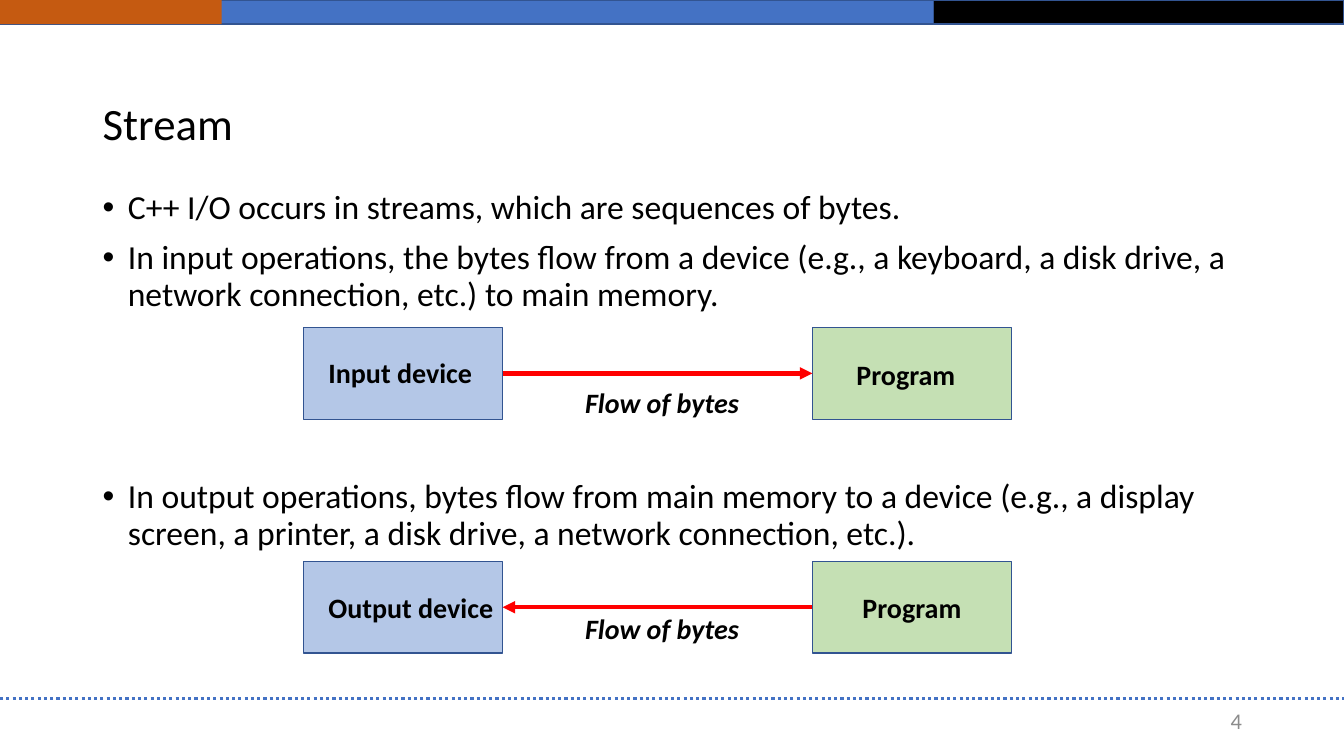
from pptx import Presentation
from pptx.dml.color import RGBColor as RGB
from pptx.enum.dml import MSO_LINE as Dash
from pptx.enum.shapes import MSO_CONNECTOR as Link, MSO_SHAPE as Form
from pptx.enum.text import MSO_ANCHOR as Anchor, MSO_AUTO_SIZE as Auto, PP_ALIGN as Align
from pptx.oxml.ns import qn
from pptx.util import Inches, Pt
from lxml.etree import SubElement as Sub

BLUE, EDGE, RED, BLACK = "4472C4", "325491", "FF0000", "000000"


def color(code):
    return RGB.from_string(code)


class Deck:
    """Holds the style and the slide; lengths are percent of its size."""
    font = "Calibri"

    def __init__(self):
        self.prs = Presentation()
        self.prs.slide_width = Inches(13.33)
        self.prs.slide_height = Inches(7.5)
        self.slide = self.prs.slides.add_slide(self.prs.slide_layouts[6])

    def place(self, *nums):
        """Turn x, y pairs of percents into slide lengths."""
        sides = self.prs.slide_width, self.prs.slide_height
        return [int(sides[i % 2] * n / 100) for i, n in enumerate(nums)]

    def rect(self, x, y, w, h, fill, edge=EDGE):
        box = self.slide.shapes.add_shape(Form.RECTANGLE, *self.place(x, y, w, h))
        box.shadow.inherit = False
        box.fill.solid()
        box.fill.fore_color.rgb = color(fill)
        if edge:
            box.line.color.rgb = color(edge)
            box.line.width = Pt(1)
        else:
            box.line.fill.background()

    def line(self, x1, x2, y, hue, width, dash=None, arrow=False):
        rule = self.slide.shapes.add_connector(
            Link.STRAIGHT, *self.place(x1, y, x2, y))
        rule.line.color.rgb = color(hue)
        rule.line.width = Pt(width)
        if dash:
            rule.line.dash_style = dash
        if arrow:
            Sub(rule.line._get_or_add_ln(), qn("a:tailEnd"), type="triangle")
        Sub(rule._element.spPr, qn("a:effectLst"))

    def text(self, x, y, w, h, words, size, hue=BLACK, align=Align.LEFT,
             anchor=Anchor.MIDDLE, bold=None, slant=None, wrap=True):
        box = self.slide.shapes.add_textbox(*self.place(x, y, w, h))
        frame = box.text_frame
        frame.word_wrap = wrap
        frame.auto_size = Auto.NONE if wrap else Auto.SHAPE_TO_FIT_TEXT
        frame.vertical_anchor = anchor
        frame.text = words
        for para in frame.paragraphs:
            para.alignment = align
            for run in para.runs:
                face = run.font
                face.name, face.size = self.font, Pt(size)
                face.bold, face.italic = bold, slant
                face.color.rgb = color(hue)
        return frame.paragraphs

    def label(self, x, y, w, words, align=Align.LEFT, slant=None):
        self.text(x, y, w, 5.87, words, 20, align=align, anchor=Anchor.TOP,
                  bold=True, slant=slant, wrap=False)

    def bullets(self, x, y, w, h, items):
        """Draw a list of (points of space before, words)."""
        words = "\n".join(item for _, item in items)
        paras = self.text(x, y, w, h, words, 24, anchor=Anchor.TOP)
        for para, (gap, _) in zip(paras, items):
            para.line_spacing = 0.9
            para.space_before = Pt(gap)
            props = para._p.get_or_add_pPr()
            props.set("marL", str(Inches(0.25)))
            props.set("indent", str(-Inches(0.25)))
            Sub(props, qn("a:buFont"), typeface="Arial")
            Sub(props, qn("a:buChar"), char="•")


def main():
    deck = Deck()
    left, wide = 6.9, 86.25

    deck.rect(0, 0, 69.45, 3.2, BLUE)
    deck.rect(69.45, 0, 30.55, 3.2, BLACK)
    deck.rect(0, 0, 16.5, 3.2, "C55A11", edge=None)
    deck.line(0, 100, 92.4, BLUE, 2.25, dash=Dash.ROUND_DOT)

    title = deck.text(left, 11.07, wide, 11.2, "Stream", 32)
    title[0].line_spacing = 0.9
    deck.text(70.65, 92.67, 22.5, 5.33, "4", 16, "8C8C8C", Align.RIGHT)
    deck.bullets(left, 24.53, wide, 66.67, [
        (10, "C++ I/O occurs in streams, which are sequences of bytes."),
        (10, "In input operations, the bytes flow from a device (e.g., a keyboard, "
             "a disk drive, a network connection, etc.) to main memory."),
        (119, "In output operations, bytes flow from main memory to a device (e.g., "
              "a display screen, a printer, a disk drive, a network connection, etc.)."),
    ])

    # Each flow: top, device, its width, program x, label drops, arrow ends
    near, far, box, tall = 22.6, 60.45, 14.8, 12.13
    gap = near + box, far
    flows = [
        (43.33, "Input device", 12.3, 62.94, (3.07, 3.33, 7.07), gap),
        (74.27, "Output device", 13.88, 63.39, (3.2, 3.2, 6), gap[::-1]),
    ]
    for top, device, width, spot, drops, ends in flows:
        deck.rect(near, top, box, tall, "B4C7E7")
        deck.rect(far, top, box, tall, "C5E0B4")
        deck.line(*ends, top + tall / 2, RED, 3, arrow=True)
        deck.label(23.7, top + drops[0], width, device)
        deck.label(spot, top + drops[1], 8.93, "Program", Align.CENTER)
        deck.label(42.8, top + drops[2], 13.05, "Flow of bytes", slant=True)

    deck.prs.save("out.pptx")


if __name__ == "__main__":
    main()
